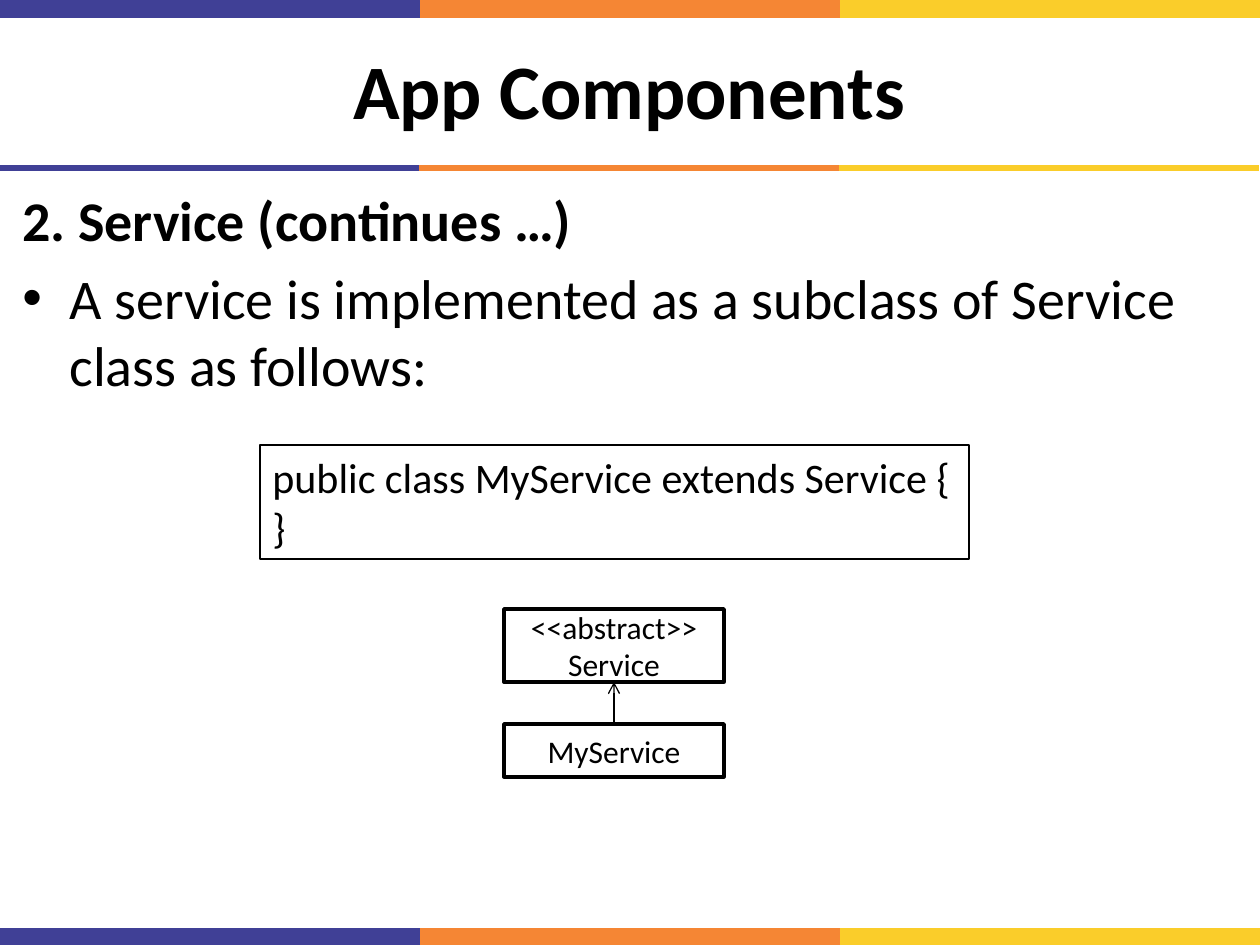
from dataclasses import dataclass

from lxml import etree
from pptx import Presentation
from pptx import util as u
from pptx.dml.color import RGBColor
from pptx.enum import shapes, text
from pptx.oxml.ns import qn

EMU_PER_PX = 914400 / 126
SLIDE_W, SLIDE_H = 1260, 945


@dataclass(frozen=True)
class Theme:
    font: str = "Calibri"
    ink: str = "000000"
    paper: str = "FFFFFF"
    stripes: tuple = ("404096", "F58634", "FACD2A")
    title: int = 44
    body: int = 32
    code: int = 24
    label: int = 18


@dataclass(frozen=True)
class Band:
    x: int
    y: int
    weight: int


@dataclass(frozen=True)
class Box:
    x: int
    y: int
    w: int
    h: int


THEME = Theme()
BANDS = (Band(0, 9, 10), Band(0, 937, 10), Band(-1, 168, 3))
TITLE = Box(10, 21, 1239, 136)
BODY = Box(10, 179, 1239, 746)
CODE = Box(260, 445, 709, 114)
PARENT = Box(504, 609, 220, 73)
CHILD = Box(504, 724, 220, 53)


def px(n: float) -> int:
    return u.Emu(round(n * EMU_PER_PX))


def frame(box: Box) -> tuple:
    return px(box.x), px(box.y), px(box.w), px(box.h)


def style(p, size: int, bold: bool = False, align=text.PP_ALIGN.LEFT) -> None:
    p.alignment = align
    for r in p.runs:
        r.font.name = THEME.font
        r.font.size = u.Pt(size)
        r.font.bold = bold
        r.font.color.rgb = RGBColor.from_string(THEME.ink)


def add_line(s, x1: int, y1: int, x2: int, y2: int, color: str, weight: float):
    c = s.shapes.add_connector(
        shapes.MSO_CONNECTOR.STRAIGHT, px(x1), px(y1), px(x2), px(y2))
    c.line.color.rgb = RGBColor.from_string(color)
    c.line.width = u.Pt(weight)
    etree.SubElement(c._element.spPr, qn("a:effectLst"))
    return c


def add_band(s, band: Band) -> None:
    step = SLIDE_W // len(THEME.stripes)
    for i, color in enumerate(THEME.stripes):
        x = band.x + i * step
        add_line(s, x, band.y, x + step, band.y, color, band.weight)


def add_box(s, box: Box, words: str, size: int, weight: float, align, anchor,
            filled: bool = True):
    sp = s.shapes.add_shape(shapes.MSO_SHAPE.RECTANGLE, *frame(box))
    sp.shadow.inherit = False
    if filled:
        sp.fill.solid()
        sp.fill.fore_color.rgb = RGBColor.from_string(THEME.paper)
    else:
        sp.fill.background()
    sp.line.color.rgb = RGBColor.from_string(THEME.ink)
    sp.line.width = u.Pt(weight)
    tf = sp.text_frame
    tf.text = words
    tf.vertical_anchor = anchor
    tf.word_wrap = filled
    for p in tf.paragraphs:
        style(p, size, align=align)
    return sp


def add_title(s, words: str) -> None:
    sp = s.shapes.title
    sp.left, sp.top, sp.width, sp.height = frame(TITLE)
    tf = sp.text_frame
    tf.text = words
    tf.vertical_anchor = text.MSO_ANCHOR.MIDDLE
    style(tf.paragraphs[0], THEME.title, True, text.PP_ALIGN.CENTER)


def add_body(s, heading: str, point: str) -> None:
    tf = s.shapes.add_textbox(*frame(BODY)).text_frame
    tf.word_wrap = True
    tf.text = heading
    style(tf.paragraphs[0], THEME.body, True)
    p = tf.add_paragraph()
    p.text = point
    pPr = p._p.get_or_add_pPr()
    pPr.set("marL", str(px(47)))
    pPr.set("indent", str(-px(47)))
    etree.SubElement(pPr, qn("a:buFont"), typeface="Arial")
    etree.SubElement(pPr, qn("a:buChar"), char="•")
    p.space_before = u.Pt(THEME.body * 0.2)
    style(p, THEME.body)


def add_inheritance(s, child, parent) -> None:
    c = add_line(s, 614, 724, 614, 682, THEME.ink, 0.75)
    c.begin_connect(child, 0)
    c.end_connect(parent, 2)
    etree.SubElement(c.line._get_or_add_ln(), qn("a:tailEnd"), type="arrow")


def main() -> None:
    prs = Presentation()
    prs.slide_width, prs.slide_height = px(SLIDE_W), px(SLIDE_H)
    s = prs.slides.add_slide(prs.slide_layouts[5])

    # Tricolour bands
    for band in BANDS:
        add_band(s, band)

    # Title and body
    add_title(s, "App Components")
    add_body(s, "2. Service (continues …)",
             "A service is implemented as a subclass of Service class as follows:")

    # Class diagram
    center, middle = text.PP_ALIGN.CENTER, text.MSO_ANCHOR.MIDDLE
    child = add_box(s, CHILD, "MyService", THEME.label, 2, center, middle)
    parent = add_box(s, PARENT, "<<abstract>>\nService", THEME.label, 2,
                     center, middle)
    add_inheritance(s, child, parent)

    # Code sample
    add_box(s, CODE, "public class MyService extends Service {\n}", THEME.code,
            0.75, text.PP_ALIGN.LEFT, text.MSO_ANCHOR.TOP, filled=False)

    prs.save("out.pptx")


if __name__ == "__main__":
    main()
